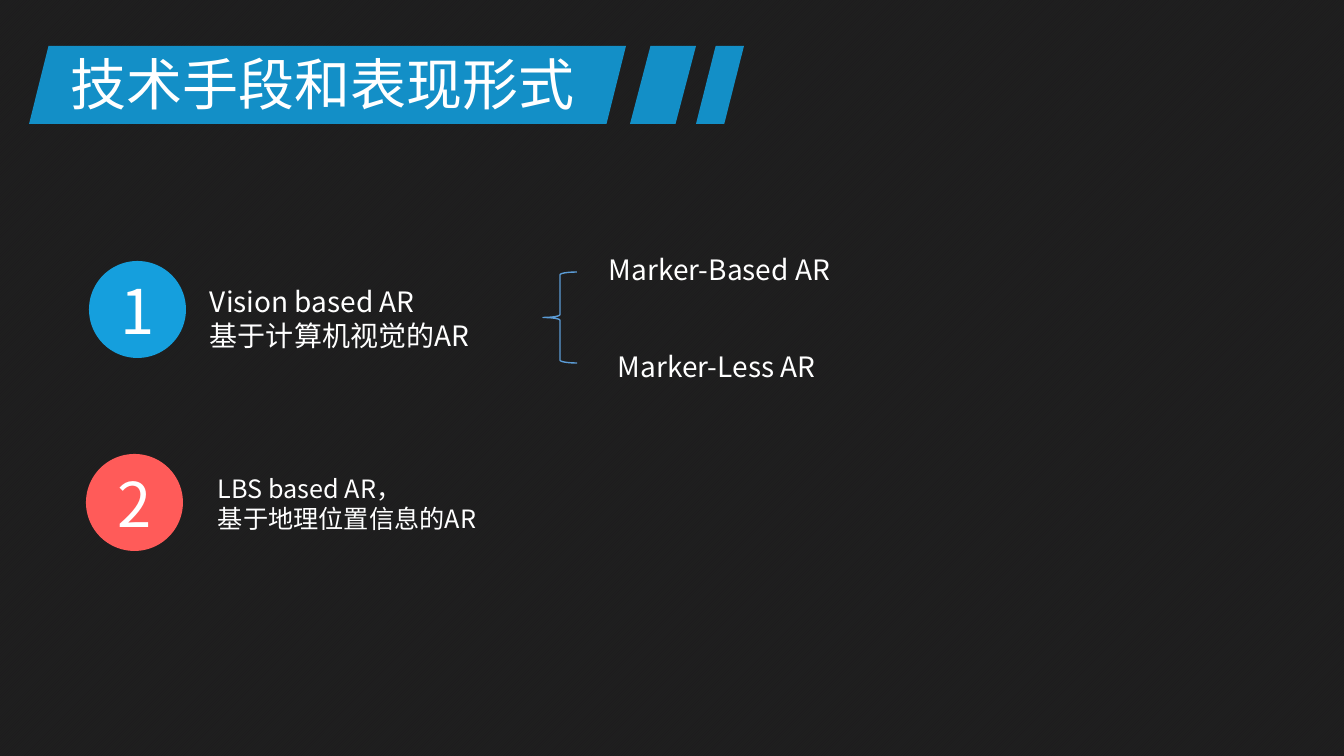
from lxml import etree
from pptx import Presentation
from pptx.dml.color import RGBColor
from pptx.enum.dml import MSO_PATTERN
from pptx.enum.shapes import MSO_SHAPE
from pptx.enum.text import MSO_ANCHOR, MSO_AUTO_SIZE, PP_ALIGN
from pptx.oxml.ns import qn
from pptx.util import Pt

EMU_PER_PX = 914400 / 100.8
SLIDE_WIDTH, SLIDE_HEIGHT = 1344, 756
FONT = "Noto Sans CJK SC"

RECTANGLE = MSO_SHAPE.RECTANGLE
PARALLELOGRAM = MSO_SHAPE.PARALLELOGRAM
OVAL = MSO_SHAPE.OVAL
LEFT_BRACE = MSO_SHAPE.LEFT_BRACE
DIAGONAL = MSO_PATTERN.LIGHT_UPWARD_DIAGONAL
MIDDLE = MSO_ANCHOR.MIDDLE
CENTER = PP_ALIGN.CENTER
GROW = MSO_AUTO_SIZE.SHAPE_TO_FIT_TEXT

WHITE = RGBColor(0xFF, 0xFF, 0xFF)
BLACK = RGBColor(0x00, 0x00, 0x00)
PATTERN_LINE = RGBColor(0xBF, 0xBF, 0xBF)
PATTERN_BACK = RGBColor(0xDD, 0xDC, 0xE2)
BANNER_BLUE = RGBColor(0x13, 0x8F, 0xC7)
BADGE_BLUE = RGBColor(0x15, 0x9F, 0xDD)
BADGE_RED = RGBColor(0xFF, 0x5B, 0x59)
BRACE_BLUE = RGBColor(0x5B, 0x9B, 0xD5)


def px(length):
    return round(length * EMU_PER_PX)


def add_run(paragraph, text, size):
    run = paragraph.add_run()
    run.text = text
    run.font.size = Pt(size)
    run.font.color.rgb = WHITE
    run.font.name = FONT
    east_asian = etree.SubElement(run.font._element, qn("a:ea"))
    east_asian.set("typeface", FONT)


def add_filled_shape(slide, kind, left, top, width, height, color):
    shape = slide.shapes.add_shape(kind, px(left), px(top), px(width), px(height))
    shape.shadow.inherit = False
    shape.fill.solid()
    shape.fill.fore_color.rgb = color
    shape.line.fill.background()
    return shape


def add_backdrop(slide):
    fill = slide.background.fill
    fill.patterned()
    fill.pattern = DIAGONAL
    fill.fore_color.rgb = PATTERN_LINE
    fill.back_color.rgb = PATTERN_BACK
    veil = add_filled_shape(slide, RECTANGLE, 0, 0, SLIDE_WIDTH, SLIDE_HEIGHT, BLACK)
    color = veil._element.spPr.find(qn("a:solidFill"))[0]
    etree.SubElement(color, qn("a:alpha")).set("val", "86000")


def add_stripe(slide, left, top, width, height, slant):
    stripe = add_filled_shape(slide, PARALLELOGRAM, left, top, width, height, BANNER_BLUE)
    stripe.adjustments[0] = slant


def add_label(slide, left, top, width, height, lines, size, wrap=False):
    box = slide.shapes.add_textbox(px(left), px(top), px(width), px(height))
    frame = box.text_frame
    frame.word_wrap = wrap
    frame.auto_size = GROW
    for index, line in enumerate(lines):
        paragraph = frame.add_paragraph() if index else frame.paragraphs[0]
        add_run(paragraph, line, size)


def add_badge(slide, left, top, number, color):
    badge = add_filled_shape(slide, OVAL, left, top, 97, 97, color)
    badge.text_frame.vertical_anchor = MIDDLE
    paragraph = badge.text_frame.paragraphs[0]
    paragraph.alignment = CENTER
    add_run(paragraph, number, 44)


def add_brace(slide, left, top, width, height):
    brace = slide.shapes.add_shape(LEFT_BRACE, px(left), px(top), px(width), px(height))
    brace.shadow.inherit = False
    brace.fill.background()
    brace.line.color.rgb = BRACE_BLUE
    brace.line.width = Pt(1)


def main():
    presentation = Presentation()
    presentation.slide_width = px(SLIDE_WIDTH)
    presentation.slide_height = px(SLIDE_HEIGHT)
    slide = presentation.slides.add_slide(presentation.slide_layouts[6])
    add_backdrop(slide)

    # Title banner
    add_stripe(slide, 630, 46, 66, 78, 0.31)
    add_stripe(slide, 696, 46, 48, 78, 0.41)
    add_stripe(slide, 29, 46, 597, 78, 0.25)
    add_label(slide, 61, 45, 822, 78, ["技术手段和表现形式"], 40)

    # Vision based AR and its two branches
    add_badge(slide, 89, 261, "1", BADGE_BLUE)
    add_label(slide, 200, 280, 672, 78,
              ["Vision based AR", "基于计算机视觉的AR"], 20, wrap=True)
    add_brace(slide, 543, 272, 34, 91)
    add_label(slide, 599, 248, 254, 44, ["Marker-Based AR"], 20)
    add_label(slide, 608, 345, 224, 44, ["Marker-Less AR"], 20)

    # LBS based AR
    add_badge(slide, 86, 454, "2", BADGE_RED)
    add_label(slide, 208, 468, 672, 72,
              ["LBS based AR，", "基于地理位置信息的AR"], 18, wrap=True)

    presentation.save("out.pptx")


if __name__ == "__main__":
    main()
